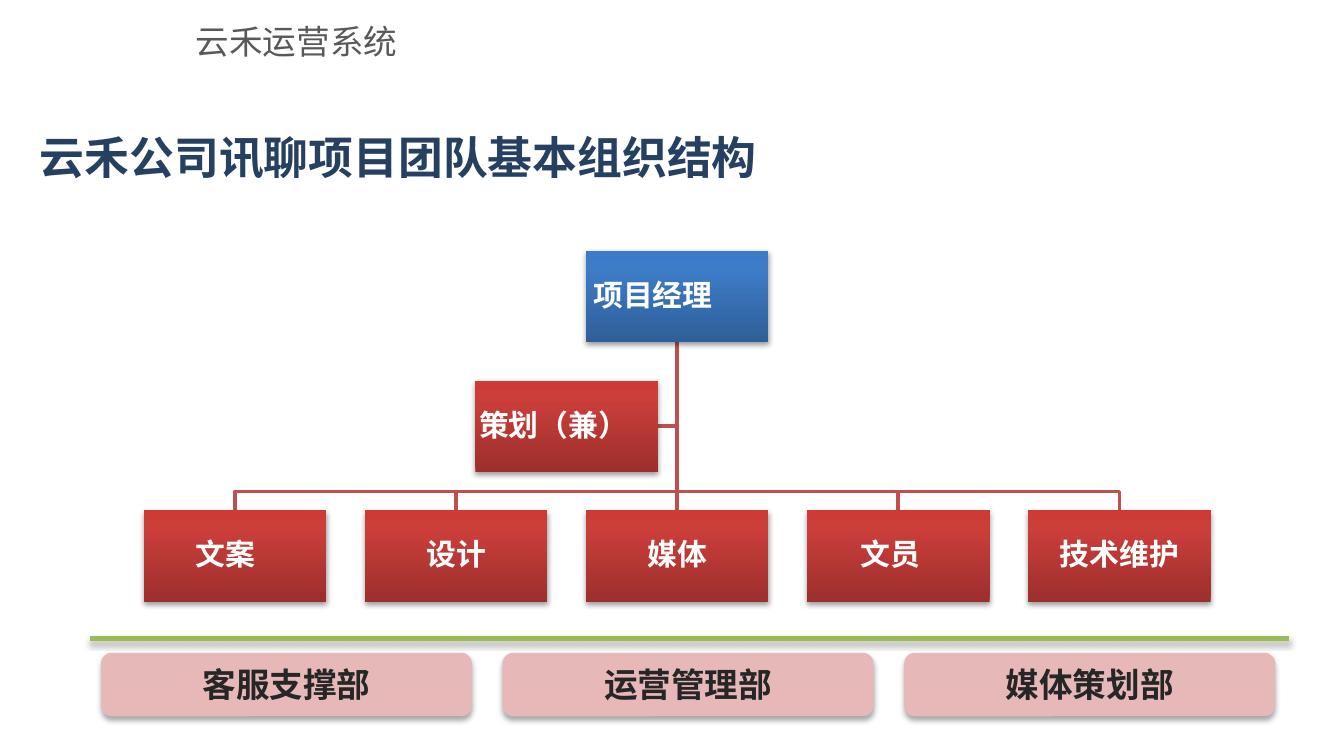
from copy import deepcopy

from lxml.etree import SubElement
from pptx import Presentation
from pptx.dml.color import RGBColor
from pptx.enum.shapes import MSO_CONNECTOR, MSO_SHAPE
from pptx.enum.text import MSO_ANCHOR, PP_ALIGN
from pptx.oxml.ns import qn
from pptx.util import Cm, Pt

RECTANGLE, ROUNDED = MSO_SHAPE.RECTANGLE, MSO_SHAPE.ROUNDED_RECTANGLE
STRAIGHT = MSO_CONNECTOR.STRAIGHT
MIDDLE = MSO_ANCHOR.MIDDLE
LEFT, CENTER = PP_ALIGN.LEFT, PP_ALIGN.CENTER

NAVY = RGBColor(0x25, 0x40, 0x61)
GRAY = RGBColor(0x59, 0x59, 0x59)
INK = RGBColor(0x26, 0x26, 0x26)
WHITE = RGBColor(0xFF, 0xFF, 0xFF)
GREEN = RGBColor(0x9B, 0xBB, 0x59)
PINK = RGBColor(0xE6, 0xB9, 0xB8)
BRANCH_RED = RGBColor(0xC0, 0x50, 0x4D)
BLUE_STOPS = (
    (0, RGBColor(0x2F, 0x5F, 0x99)),
    (0.8, RGBColor(0x3D, 0x7C, 0xC7)),
    (1, RGBColor(0x3A, 0x7C, 0xCB)),
)
RED_STOPS = (
    (0, RGBColor(0x9C, 0x2F, 0x2D)),
    (0.8, RGBColor(0xCB, 0x3E, 0x3A)),
    (1, RGBColor(0xCE, 0x3B, 0x37)),
)

SANS_SC = "Noto Sans CJK SC"
SANS_JP = "Noto Sans CJK JP"
TITLE_FONT = "Calibri"

BOX_WIDTH, BOX_HEIGHT = Cm(3.45), Cm(1.73)
STAFF = (("文案", 0.38), ("设计", 0), ("媒体", 0), ("文员", 0.3), ("技术维护", 0))
DEPARTMENTS = ("客服支撑部", "运营管理部", "媒体策划部")


def write(frame, text, size, font, color, bold=True, align=CENTER):
    """Add one formatted run to a text frame and return its paragraph."""
    paragraph = frame.paragraphs[0]
    paragraph.alignment = align
    run = paragraph.add_run()
    run.text = text
    run.font.size = Pt(size)
    run.font.bold = bold
    run.font.color.rgb = color
    run.font.name = font
    SubElement(run.font._element, qn("a:ea"), typeface=font)
    return paragraph


def set_margins(frame, side, top, extra_right=0):
    """Set the insets of a text frame in centimetres."""
    frame.margin_left = Cm(side)
    frame.margin_right = Cm(side + extra_right)
    frame.margin_top = frame.margin_bottom = Cm(top)
    frame.vertical_anchor = MIDDLE


def add_shadow(shape_properties, distance=1.8, opacity=35):
    """Give a shape or line a soft shadow falling downwards."""
    effects = shape_properties.find(qn("a:effectLst"))
    if effects is None:
        effects = SubElement(shape_properties, qn("a:effectLst"))
    shadow = SubElement(
        effects, qn("a:outerShdw"), blurRad=str(Pt(3.1)), dist=str(Pt(distance)),
        dir="5400000", rotWithShape="0",
    )
    color = SubElement(shadow, qn("a:srgbClr"), val="000000")
    SubElement(color, qn("a:alpha"), val=str(opacity * 1000))


def fill_gradient(shape, stops):
    """Fill a shape with a three-stop gradient running upwards."""
    shape.fill.gradient()
    shape.fill.gradient_angle = 90
    stop_list = shape._element.spPr.find(".//" + qn("a:gsLst"))
    stop_list.append(deepcopy(stop_list[-1]))
    for stop, (position, color) in zip(shape.fill.gradient_stops, stops):
        stop.position = position
        stop.color.rgb = color


def add_role(slide, left, top, text, stops, extra_right=0):
    """Draw one role box of the organisation chart."""
    role = slide.shapes.add_shape(RECTANGLE, left, top, BOX_WIDTH, BOX_HEIGHT)
    fill_gradient(role, stops)
    role.line.fill.background()
    role.shadow.inherit = False
    add_shadow(role._element.spPr, 1.6, 38)
    set_margins(role.text_frame, 0.03, 0.03, extra_right)
    role.text_frame.word_wrap = True
    write(role.text_frame, text, 16, SANS_SC, WHITE).line_spacing = 0.9
    return role


def add_branch(slide, points):
    """Draw an open angled line through the given points."""
    builder = slide.shapes.build_freeform(*points[0])
    builder.add_line_segments(points[1:], close=False)
    branch = builder.convert_to_shape()
    branch.fill.background()
    branch.line.color.rgb = BRANCH_RED
    branch.line.width = Pt(2)
    branch.shadow.inherit = False


def add_straight(slide, start, end, color, width):
    """Draw a straight line without a theme shadow."""
    line = slide.shapes.add_connector(STRAIGHT, *start, *end)
    line.line.color.rgb = color
    line.line.width = Pt(width)
    SubElement(line._element.spPr, qn("a:effectLst"))
    return line


def add_header(slide, left, top, width, height):
    """Place the system name above the title."""
    header = slide.shapes.add_textbox(left, top, width, height)
    header.text_frame.word_wrap = False
    write(header.text_frame, "云禾运营系统", 18, SANS_JP, GRAY, False, LEFT)


def add_title(slide, left, top, width, height):
    """Move and format the title placeholder."""
    title = slide.shapes.title
    title.left, title.top, title.width, title.height = left, top, width, height
    title.text_frame.vertical_anchor = MIDDLE
    title.text_frame.word_wrap = True
    write(title.text_frame, "云禾公司讯聊项目团队基本组织结构", 24, TITLE_FONT, NAVY, align=LEFT)


def add_organisation(slide, left, top, width, height):
    """Draw the manager, the assistant and the evenly spaced staff row."""
    center = left + width // 2
    manager_left = center - BOX_WIDTH // 2
    manager_bottom = top + BOX_HEIGHT
    staff_top = top + height - BOX_HEIGHT
    pitch = (width - BOX_WIDTH) // (len(STAFF) - 1)
    bus = staff_top - Cm(0.36)
    assistant_left = manager_left - pitch // 2
    assistant_top = top + (height - BOX_HEIGHT) // 2
    assistant_middle = assistant_top + BOX_HEIGHT // 2
    trunk = (center, manager_bottom)

    add_branch(slide, [trunk, (center, assistant_middle),
                       (assistant_left + BOX_WIDTH, assistant_middle)])
    for index in range(len(STAFF)):
        x = left + index * pitch + BOX_WIDTH // 2
        if index != len(STAFF) // 2:
            add_branch(slide, [trunk, (center, bus), (x, bus), (x, staff_top)])
    stem = add_straight(slide, trunk, (center, staff_top), BRANCH_RED, 2)

    manager = add_role(slide, manager_left, top, "项目经理", BLUE_STOPS, 0.92)
    staff = [
        add_role(slide, left + index * pitch, staff_top, text, RED_STOPS, extra)
        for index, (text, extra) in enumerate(STAFF)
    ]
    add_role(slide, assistant_left, assistant_top, "策划（兼）", RED_STOPS, 0.5)
    stem.begin_connect(manager, 2)
    stem.end_connect(staff[len(staff) // 2], 0)


def add_departments(slide, left, top, width, height):
    """Draw the dividing line and the supporting departments below it."""
    divider = add_straight(slide, (left, top), (left + width, top), GREEN, 3)
    add_shadow(divider._element.spPr)
    card_width, card_height, pitch = Cm(7.01), Cm(1.2), Cm(7.59)
    for index, name in enumerate(DEPARTMENTS):
        card = slide.shapes.add_shape(
            ROUNDED, left + Cm(0.2) + index * pitch, top + height - card_height,
            card_width, card_height,
        )
        card.fill.solid()
        card.fill.fore_color.rgb = PINK
        card.line.fill.background()
        card.shadow.inherit = False
        add_shadow(card._element.spPr)
        set_margins(card.text_frame, 0.18, 0.1)
        write(card.text_frame, name, 18, SANS_SC, INK)


def main():
    """Build the slide and save it."""
    deck = Presentation()
    deck.slide_width, deck.slide_height = Cm(25.4), Cm(14.29)
    slide = deck.slides.add_slide(deck.slide_layouts[5])
    add_header(slide, Cm(3.45), Cm(0.28), Cm(4.4), Cm(1.02))
    add_title(slide, Cm(0.5), Cm(2.37), Cm(16), Cm(1.17))
    add_departments(slide, Cm(1.71), Cm(12.07), Cm(22.65), Cm(1.47))
    add_organisation(slide, Cm(2.72), Cm(4.74), Cm(20.16), Cm(6.64))
    deck.save("out.pptx")


if __name__ == "__main__":
    main()
